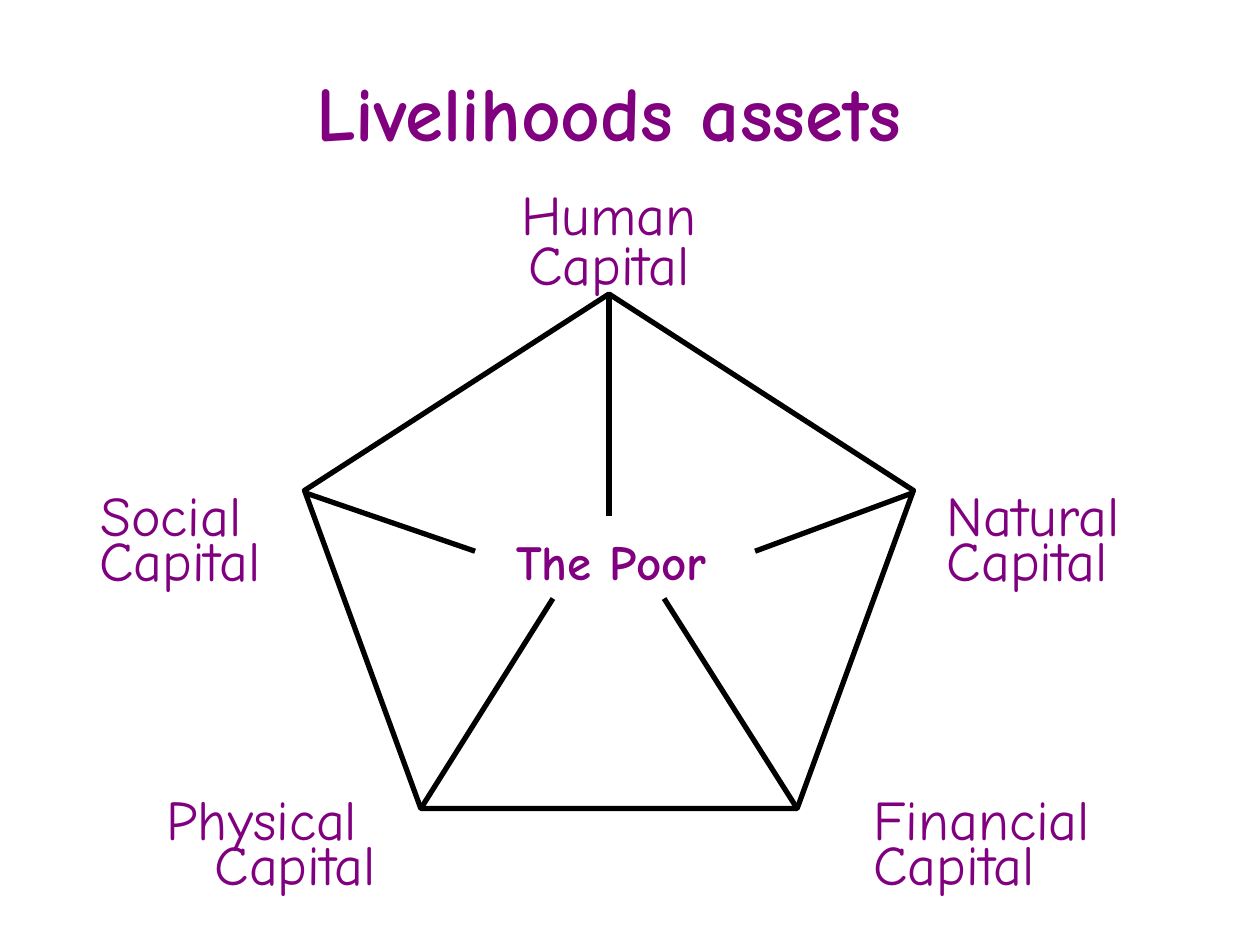
from dataclasses import dataclass

from lxml.etree import SubElement
from pptx import Presentation
from pptx.dml.color import RGBColor
from pptx.enum.shapes import MSO_CONNECTOR, MSO_SHAPE
from pptx.enum.text import MSO_ANCHOR, PP_ALIGN
from pptx.oxml.ns import qn
from pptx.slide import Slide
from pptx.text.text import _Paragraph
from pptx.util import Length, Pt

PURPLE = RGBColor(0x80, 0x00, 0x80)
BLACK = RGBColor(0x00, 0x00, 0x00)
FONT = "Comic Neue"
LINE_WIDTH = Pt(3)
TIGHT = Pt(25.4)  # line pitch of the two-line labels


@dataclass(frozen=True)
class Label:
    lines: tuple[str, ...]
    left: float
    top: float
    width: float
    height: float
    align: PP_ALIGN = PP_ALIGN.LEFT
    spacing: Length | float = TIGHT
    size: float = 32
    bold: bool = False
    wrap: bool = True


@dataclass(frozen=True)
class Spoke:
    start: tuple[float, float]
    end: tuple[float, float]


UPPER_ROW, LOWER_ROW = 284.3, 458
LABELS = (
    Label(("Financial", "Capital"), 492, LOWER_ROW, 150, 58),
    Label(("Natural", "Capital"), 534, UPPER_ROW, 150, 58),
    Label(("Social ", "Capital"), 24, UPPER_ROW, 132, 58, PP_ALIGN.RIGHT),
    Label(("Physical ", "Capital"), 60, LOWER_ROW, 162, 58, PP_ALIGN.RIGHT),
    Label(("Human Capital",), 276, 108, 144, 65, PP_ALIGN.CENTER, 0.75),
    Label(("The Poor",), 288, 300, 136, 41, spacing=1.0, size=28,
          bold=True, wrap=False),
)

# Pentagon frame and the spokes from its corners towards the centre
LEFT, TOP, WIDTH, HEIGHT = 174, 168, 348, 294
MIDDLE, RIGHT, BOTTOM = LEFT + WIDTH / 2, LEFT + WIDTH, TOP + HEIGHT
SHOULDER, FOOT = 281.5, 107.5  # side corner height, half of the base
SPOKES = (
    Spoke((LEFT, SHOULDER), (271.5, 315)),
    Spoke((MIDDLE, TOP), (MIDDLE, 295)),
    Spoke((RIGHT, SHOULDER), (431.5, 315)),
    Spoke((MIDDLE - FOOT, BOTTOM), (316, 342)),
    Spoke((MIDDLE + FOOT, BOTTOM), (379.5, 342)),
)


def add_span(para: _Paragraph, text: str, size: float, bold: bool) -> None:
    span = para.add_run()
    span.text = text
    span.font.name = FONT
    span.font.size = Pt(size)
    span.font.bold = bold
    span.font.color.rgb = PURPLE


def add_title(page: Slide, text: str) -> None:
    title = page.shapes.title
    title.left, title.top = Pt(72), Pt(18)
    title.width, title.height = Pt(552), Pt(90)
    title.text_frame.vertical_anchor = MSO_ANCHOR.MIDDLE
    para = title.text_frame.paragraphs[0]
    para.alignment = PP_ALIGN.CENTER
    add_span(para, text, 44, True)


def add_label(page: Slide, label: Label) -> None:
    box = page.shapes.add_textbox(Pt(label.left), Pt(label.top),
                                  Pt(label.width), Pt(label.height))
    frame = box.text_frame
    frame.word_wrap = label.wrap
    for index, line in enumerate(label.lines):
        para = frame.add_paragraph() if index else frame.paragraphs[0]
        para.alignment = label.align
        para.line_spacing = label.spacing
        add_span(para, line, label.size, label.bold)


def add_pentagon(page: Slide) -> None:
    pentagon = page.shapes.add_shape(MSO_SHAPE.REGULAR_PENTAGON, Pt(LEFT),
                                     Pt(TOP), Pt(WIDTH), Pt(HEIGHT))
    pentagon.shadow.inherit = False
    pentagon.fill.background()
    pentagon.line.color.rgb = BLACK
    pentagon.line.width = LINE_WIDTH


def add_spoke(page: Slide, spoke: Spoke) -> None:
    points = (Pt(value) for value in spoke.start + spoke.end)
    line = page.shapes.add_connector(MSO_CONNECTOR.STRAIGHT, *points)
    line.line.color.rgb = BLACK
    line.line.width = LINE_WIDTH
    SubElement(line._element.spPr, qn("a:effectLst"))


def main() -> None:
    deck = Presentation()
    deck.slide_width, deck.slide_height = Pt(720), Pt(540)
    page = deck.slides.add_slide(deck.slide_layouts[5])

    # Title and labels
    add_title(page, "Livelihoods assets")
    for label in LABELS:
        add_label(page, label)

    # Asset pentagon
    add_pentagon(page)
    for spoke in SPOKES:
        add_spoke(page, spoke)

    deck.save("out.pptx")


if __name__ == "__main__":
    main()
